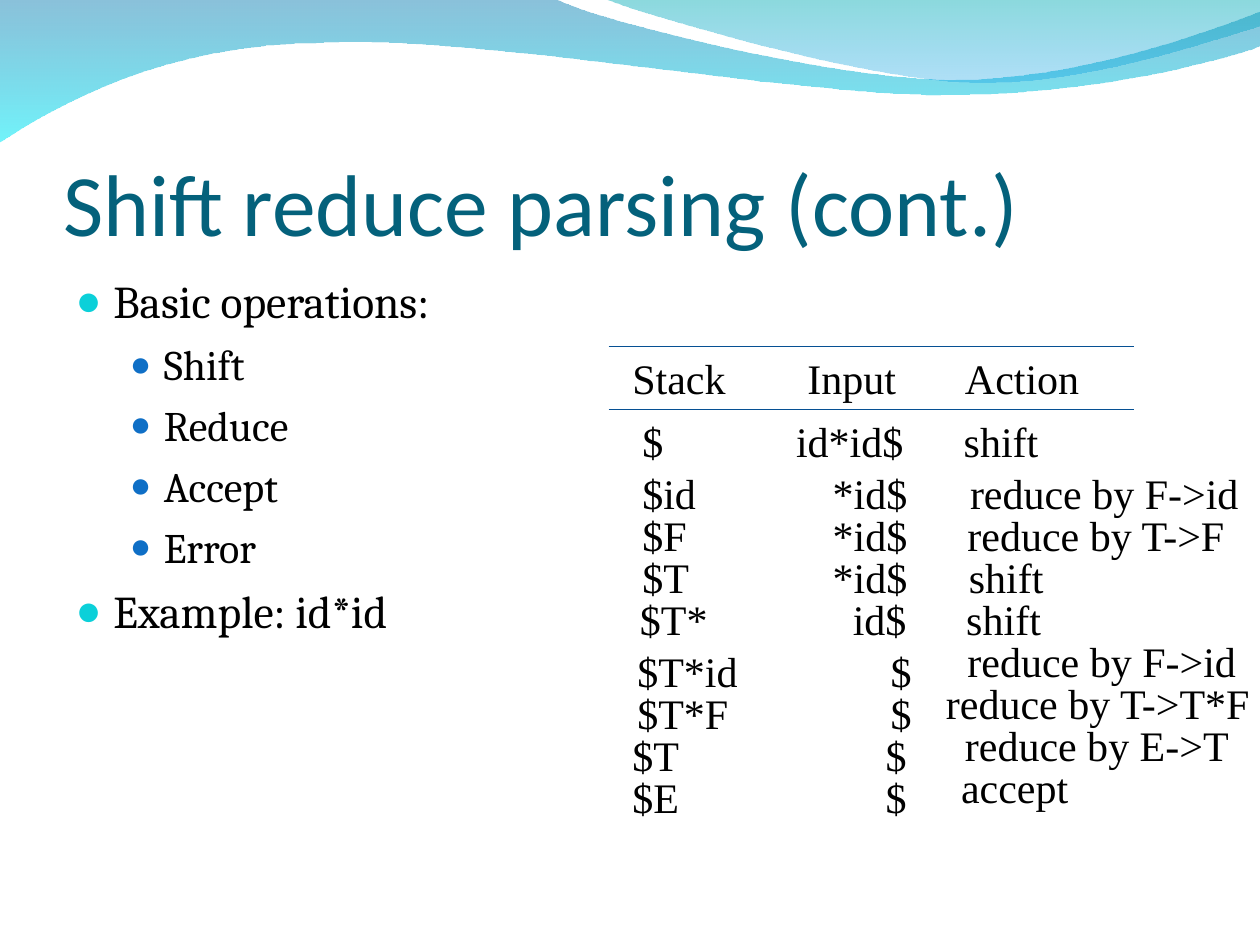
from lxml.etree import SubElement
from pptx import Presentation
from pptx.dml.color import RGBColor
from pptx.enum.shapes import MSO_CONNECTOR
from pptx.enum.text import MSO_ANCHOR, MSO_AUTO_SIZE, PP_ALIGN
from pptx.oxml.ns import qn
from pptx.util import Inches, Pt

TITLE_TEAL = RGBColor(0x04, 0x61, 0x7B)
BLACK = RGBColor(0, 0, 0)
RULE_BLUE = RGBColor(0x06, 0x50, 0x93)
BULLET_CYAN = RGBColor(0x0B, 0xD0, 0xD9)
BULLET_BLUE = RGBColor(0x0F, 0x6F, 0xC6)
WAVE_BLUE = RGBColor(0x00, 0x79, 0xAF)
WAVE_CYAN = RGBColor(0x00, 0xEB, 0xF8)
CREST_TEAL = RGBColor(0x00, 0xAD, 0xB6)
CREST_BLUE = RGBColor(0x00, 0x9B, 0xE5)

LEVELS = [
    dict(size=26, margin=0.3, indent=-0.3, before=6.5, color=BULLET_CYAN, percent=95),
    dict(size=24, margin=0.7, indent=-0.27, before=6, color=BULLET_BLUE, percent=85),
]
OUTLINE = [("Basic operations:", 0), ("Shift", 1), ("Reduce", 1),
           ("Accept", 1), ("Error", 1), ("Example: id*id", 0)]

HEADER = [(4.92, "Stack"), (6.31, "Input"), (7.56, "Action")]
FIRST_STEP = [(5, "$"), (6.22, "id*id$"), (7.55, "shift")]
STEPS = [
    [(5, "$id"), (6.51, "*id$"), (7.6, "reduce by F->id")],
    [(5, "$F"), (6.51, "*id$"), (7.58, "reduce by T->F")],
    [(5, "$T"), (6.51, "*id$"), (7.59, "shift")],
    [(4.98, "$T*"), (6.67, "id$"), (7.57, "shift")],
    [(4.96, "$T*id"), (6.97, "$"), (7.58, "reduce by F->id")],
    [(4.96, "$T*F"), (6.97, "$"), (7.41, "reduce by T->T*F")],
    [(4.92, "$T"), (6.93, "$"), (7.56, "reduce by E->T")],
    [(4.92, "$E"), (6.93, "$"), (7.53, "accept")],
]
WIDTHS = {
    "Stack": 0.96, "Input": 0.92, "Action": 1.12, "$": 0.38, "$id": 0.64, "$F": 0.57,
    "$T": 0.59, "$T*": 0.75, "$T*id": 1.01, "$T*F": 0.94, "$E": 0.59, "id*id$": 1.07,
    "*id$": 0.81, "id$": 0.64, "shift": 0.81, "accept": 1.07, "reduce by F->id": 2.35,
    "reduce by T->F": 2.29, "reduce by T->T*F": 2.66, "reduce by E->T": 2.31,
}

WAVE = [
    [(0, -0.01)], [(4.4, -0.01)],
    [(4.76, 0.17), (6.64, 0.63), (7.58, 0.63)],
    [(8.53, 0.63), (9.58, 0.26), (10, 0.09)],
    [(10.01, 0.36)],
    [(9.83, 0.44), (8.7, 0.76), (7.46, 0.75)],
    [(6.22, 0.75), (3.82, 0.28), (2.57, 0.34)],
    [(1.29, 0.35), (0.46, 0.83), (-0.01, 1.13)],
]
CREST = [
    [(4.79, -0.01)],
    [(5.09, 0.11), (6.82, 0.62), (7.69, 0.65)],
    [(8.56, 0.69), (9.61, 0.32), (10, 0.21)],
    [(10, 0)],
]


class LessonSlide:
    """Holds the slide and the style of its elements."""

    heading_font, body_font, trace_font = "Calibri", "Cambria", "Times New Roman"

    def __init__(self, presentation):
        self.slide = presentation.slides.add_slide(presentation.slide_layouts[1])
        self.shapes = self.slide.shapes

    def place(self, shape, left, top, width, height):
        shape.left, shape.top = Inches(left), Inches(top)
        shape.width, shape.height = Inches(width), Inches(height)

    def style(self, paragraph, font, size, color):
        paragraph.alignment = PP_ALIGN.LEFT
        for run in paragraph.runs:
            run.font.name, run.font.size = font, Pt(size)
            run.font.color.rgb = color

    def bend(self, band, segments):
        edges = list(band._element.iter(qn("a:lnTo")))
        for edge, segment in zip(edges, segments[1:]):
            if len(segment) == 1:
                continue
            edge.clear()
            edge.tag = qn("a:cubicBezTo")
            for x, y in segment:
                corner = SubElement(edge, qn("a:pt"))
                corner.set("x", str(Inches(x) - band.left))
                corner.set("y", str(Inches(y) - band.top))

    def wave(self, segments, stops):
        ends = [(Inches(x), Inches(y)) for *_, (x, y) in segments]
        builder = self.shapes.build_freeform(*ends[0], scale=1.0)
        builder.add_line_segments(ends[1:], close=True)
        band = builder.convert_to_shape()
        self.bend(band, segments)
        band.shadow.inherit = False
        band.line.fill.background()
        band.fill.gradient()
        band.fill.gradient_angle = 270
        for stop, (color, opacity) in zip(band.fill.gradient_stops, stops):
            stop.color.rgb = color
        for color_node, (color, opacity) in zip(band._element.spPr.iter(qn("a:srgbClr")), stops):
            SubElement(color_node, qn("a:alpha")).set("val", str(opacity * 1000))
        self.shapes.title._element.addprevious(band._element)

    def title(self, wording):
        heading = self.shapes.title
        self.place(heading, 0.5, 0.77, 9, 1.25)
        frame = heading.text_frame
        frame.text = wording
        frame.auto_size = MSO_AUTO_SIZE.NONE
        frame.vertical_anchor = MSO_ANCHOR.BOTTOM
        frame.margin_left = frame.margin_right = frame.margin_bottom = 0
        self.style(frame.paragraphs[0], self.heading_font, 50, TITLE_TEAL)

    def bullets(self, items):
        body = self.slide.placeholders[1]
        self.place(body, 0.5, 2.12, 3.67, 4.8)
        frame = body.text_frame
        frame.text = "\n".join(wording for wording, level in items)
        frame.auto_size = MSO_AUTO_SIZE.NONE
        for index, (paragraph, (wording, level)) in enumerate(zip(frame.paragraphs, items)):
            look = LEVELS[level]
            paragraph.level = level
            paragraph.space_before = Pt(look["before"] if index else 0)
            properties = paragraph._p.get_or_add_pPr()
            properties.set("marL", str(Inches(look["margin"])))
            properties.set("indent", str(Inches(look["indent"])))
            bullet_color = SubElement(properties, qn("a:buClr"))
            SubElement(bullet_color, qn("a:srgbClr")).set("val", str(look["color"]))
            SubElement(properties, qn("a:buSzPct")).set("val", str(look["percent"] * 1000))
            SubElement(properties, qn("a:buChar")).set("char", "●")
            self.style(paragraph, self.body_font, look["size"], BLACK)

    def rule(self, top):
        line = self.shapes.add_connector(MSO_CONNECTOR.STRAIGHT, Inches(4.83), Inches(top),
                                         Inches(9), Inches(top))
        line.line.color.rgb = RULE_BLUE
        line.line.width = Pt(0.75)
        SubElement(line._element.spPr, qn("a:effectLst"))

    def cell(self, left, top, wording):
        box = self.shapes.add_textbox(Inches(left), Inches(top),
                                      Inches(WIDTHS[wording]), Inches(0.5))
        frame = box.text_frame
        frame.text = wording
        frame.word_wrap = False
        frame.auto_size = MSO_AUTO_SIZE.SHAPE_TO_FIT_TEXT
        self.style(frame.paragraphs[0], self.trace_font, 24, BLACK)

    def trace_row(self, top, cells, action_rise=0):
        *state, action = cells
        for left, wording in state:
            self.cell(left, top, wording)
        self.cell(action[0], top - action_rise, action[1])


def main():
    presentation = Presentation()
    presentation.slide_width, presentation.slide_height = Inches(10), Inches(7.5)
    lesson = LessonSlide(presentation)
    lesson.wave(WAVE, [(WAVE_BLUE, 46), (WAVE_CYAN, 56)])
    lesson.wave(CREST, [(CREST_TEAL, 46), (CREST_BLUE, 31)])
    lesson.title("Shift reduce parsing (cont.)")
    lesson.bullets(OUTLINE)
    for top in (2.75, 3.25):
        lesson.rule(top)
    lesson.trace_row(2.75, HEADER)
    lesson.trace_row(3.25, FIRST_STEP)
    for index, step in enumerate(STEPS):
        rise = 0.08 if index >= 4 else 0
        lesson.trace_row(3.66 + index / 3 + rise, step, rise)
    presentation.save("out.pptx")


if __name__ == "__main__":
    main()
